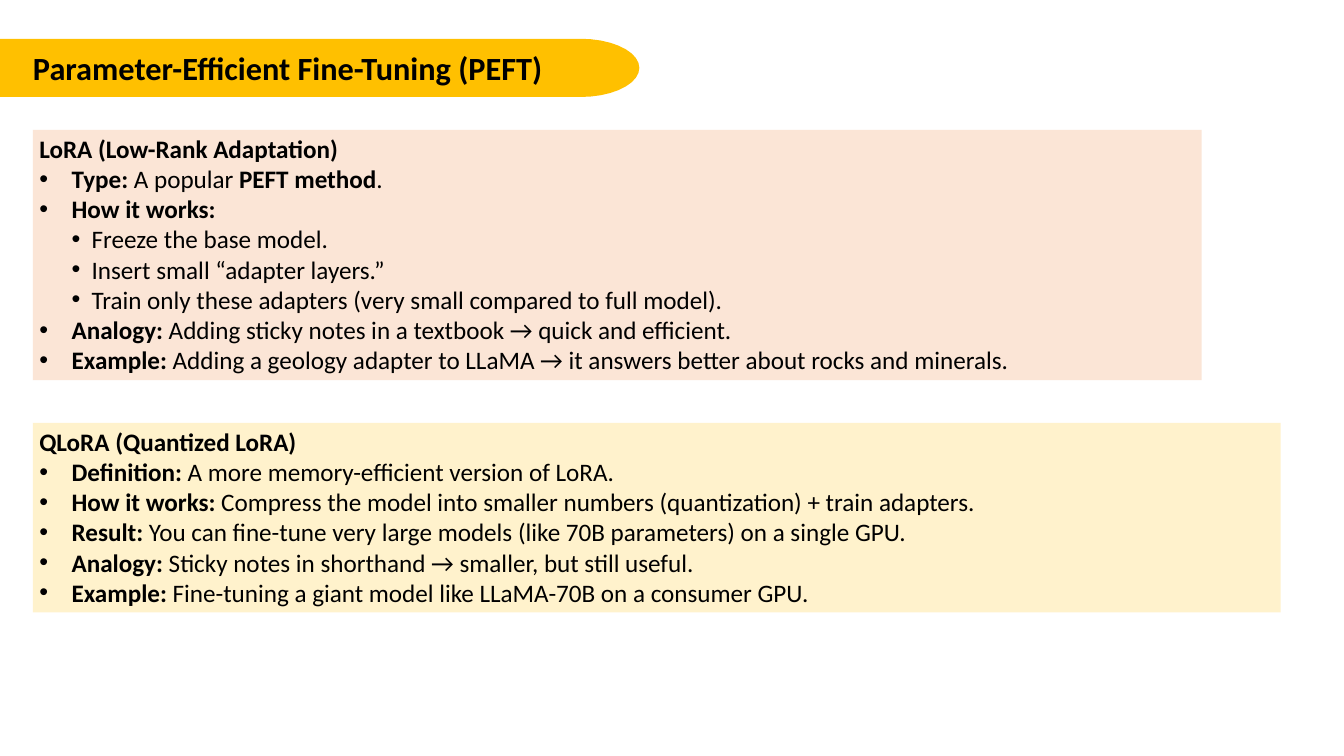
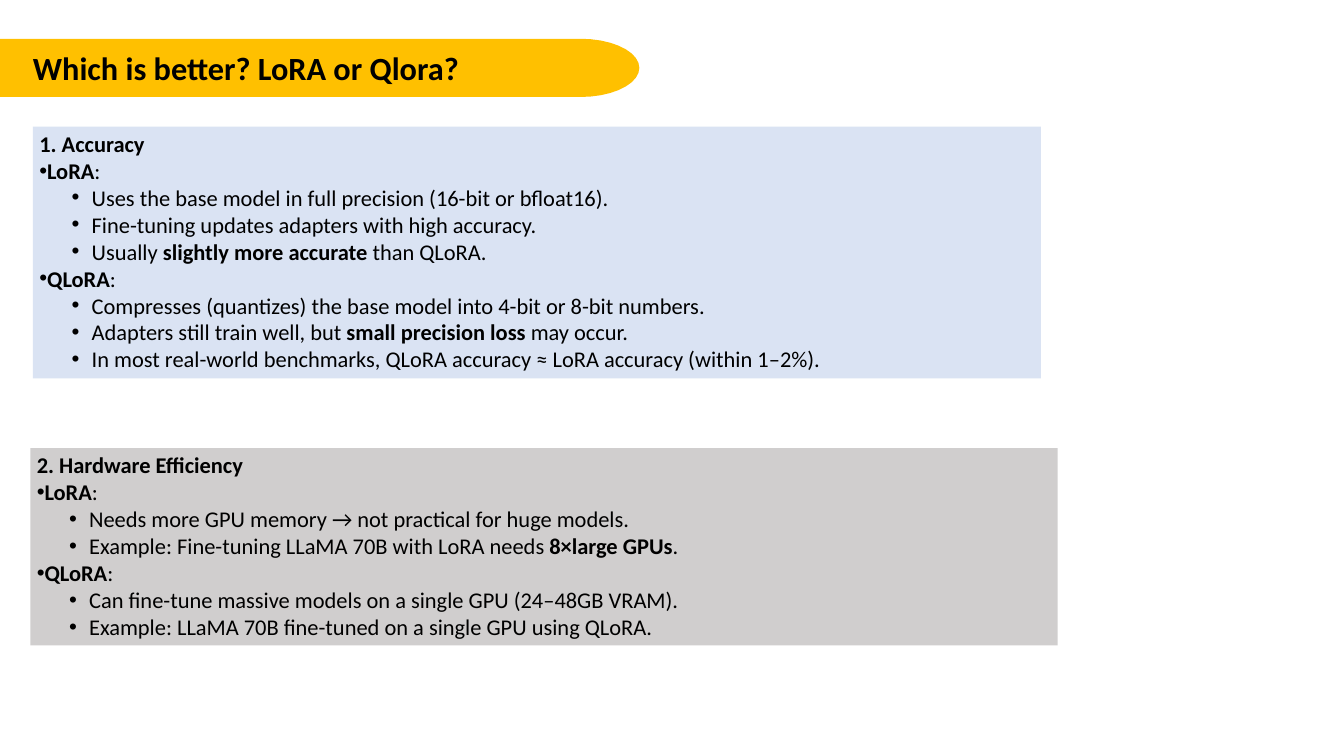
from dataclasses import dataclass
from math import cos, radians, sin

from lxml.etree import SubElement
from pptx import Presentation
from pptx.dml.color import RGBColor
from pptx.enum.shapes import MSO_SHAPE
from pptx.enum.text import MSO_ANCHOR, MSO_AUTO_SIZE, PP_ALIGN
from pptx.oxml.ns import qn
from pptx.util import Inches, Pt


@dataclass(frozen=True)
class Theme:
    """Colours, font and type sizes."""
    font: str = "Calibri"
    ink: str = "000000"
    band: str = "FFC000"
    peach: str = "FBE5D6"
    cream: str = "FFF2CC"
    blue: str = "DAE3F3"
    grey: str = "D0CECE"
    title: int = 36
    large: int = 28
    small: int = 25


class Deck:
    """Holds the theme and the current slide."""

    def __init__(self, theme):
        """Start a wide deck."""
        self.theme = theme
        self.prs = Presentation()
        self.prs.slide_width = Inches(20.79)
        self.prs.slide_height = Inches(11.69)

    def page(self, title):
        """Add a slide with its title on the band."""
        self.slide = self.prs.slides.add_slide(self.prs.slide_layouts[5])
        head = self.slide.shapes.title
        head.left, head.top = Inches(0.51), Inches(0.74)
        head.width, head.height = Inches(11.97), Inches(0.62)
        frame = self.frame(head, (0, 0.01, 0, 0))
        self.label(frame.paragraphs[0], f"*{title}*", self.theme.title)
        head.element.addprevious(self.band().element)

    def band(self):
        """Draw the title band with its rounded right end."""
        edge, mid, wide, high = 8.98, 1.05, 0.91, 0.45
        turns = [radians(a) for a in range(-90, 91, 10)]
        arc = [(edge + wide * cos(t), mid + high * sin(t)) for t in turns]
        points = [(Inches(x), Inches(y)) for x, y in [*arc, (0, mid + high)]]
        pen = self.slide.shapes.build_freeform(0, Inches(mid - high))
        pen.add_line_segments(points, close=True)
        return self.paint(pen.convert_to_shape(), self.theme.band)

    def paint(self, shape, fill):
        """Give a shape a flat fill without line or shadow."""
        shape.shadow.inherit = False
        shape.fill.solid()
        shape.fill.fore_color.rgb = RGBColor.from_string(fill)
        shape.line.fill.background()
        return shape

    def frame(self, shape, inset):
        """Set up the text frame of a shape."""
        frame = shape.text_frame
        frame.word_wrap = True
        frame.auto_size = MSO_AUTO_SIZE.NONE
        frame.vertical_anchor = MSO_ANCHOR.TOP
        (frame.margin_left, frame.margin_top,
         frame.margin_right, frame.margin_bottom) = map(Inches, inset)
        return frame

    def label(self, para, text, size):
        """Fill one paragraph, with bold between asterisks."""
        para.alignment = PP_ALIGN.LEFT
        para.line_spacing = 1.0
        for i, part in enumerate(text.split("*")):
            if part:
                run = para.add_run()
                run.text = part
                font = run.font
                font.name, font.size, font.bold = self.theme.font, Pt(size), i % 2 == 1
                font.color.rgb = RGBColor.from_string(self.theme.ink)

    def dot(self, para, left, hang):
        """Give a paragraph a bullet and a hanging indent."""
        props = para._p.get_or_add_pPr()
        props.set("marL", str(Inches(left)))
        props.set("indent", str(-Inches(hang)))
        SubElement(props, qn("a:buFont")).set("typeface", "Arial")
        SubElement(props, qn("a:buChar")).set("char", "•")

    def panel(self, box, fill, size, hang, head, items):
        """Add a filled panel with a heading and two-level bullets."""
        shape = self.slide.shapes.add_shape(MSO_SHAPE.RECTANGLE, *map(Inches, box))
        frame = self.frame(self.paint(shape, fill), (0.1, 0.05, 0.1, 0.05))
        self.label(frame.paragraphs[0], f"*{head}*", size)
        for level, text in items:
            para = frame.add_paragraph()
            para.level = level
            self.dot(para, *((0.81, 0.31) if level else (hang, hang)))
            self.label(para, text, size)


def main():
    """Build and save the deck."""
    theme = Theme()
    deck = Deck(theme)

    deck.page("Parameter-Efficient Fine-Tuning (PEFT)")
    deck.panel((0.51, 2.01, 18.08, 3.87), theme.peach, theme.large, 0.5,
               "LoRA (Low-Rank Adaptation)", [
        (0, "*Type:* A popular *PEFT method*."),
        (0, "*How it works:*"),
        (1, "Freeze the base model."),
        (1, "Insert small “adapter layers.”"),
        (1, "Train only these adapters (very small compared to full model)."),
        (0, "*Analogy:* Adding sticky notes in a textbook → quick and efficient."),
        (0, "*Example:* Adding a geology adapter to LLaMA → it answers better "
            "about rocks and minerals."),
    ])
    deck.panel((0.51, 6.54, 19.3, 2.93), theme.cream, theme.large, 0.5,
               "QLoRA (Quantized LoRA)", [
        (0, "*Definition:* A more memory-efficient version of LoRA."),
        (0, "*How it works:* Compress the model into smaller numbers "
            "(quantization) + train adapters."),
        (0, "*Result:* You can fine-tune very large models (like 70B parameters) "
            "on a single GPU."),
        (0, "*Analogy:* Sticky notes in shorthand → smaller, but still useful."),
        (0, "*Example:* Fine-tuning a giant model like LLaMA-70B on a consumer GPU."),
    ])

    deck.page("Which is better? LoRA or Qlora?")
    deck.panel((0.51, 1.96, 15.59, 3.89), theme.blue, theme.small, 0,
               "1. Accuracy", [
        (0, "*LoRA*:"),
        (1, "Uses the base model in full precision (16-bit or bfloat16)."),
        (1, "Fine-tuning updates adapters with high accuracy."),
        (1, "Usually *slightly more accurate* than QLoRA."),
        (0, "*QLoRA*:"),
        (1, "Compresses (quantizes) the base model into 4-bit or 8-bit numbers."),
        (1, "Adapters still train well, but *small precision loss* may occur."),
        (1, "In most real-world benchmarks, QLoRA accuracy ≈ LoRA accuracy "
            "(within 1–2%)."),
    ])
    deck.panel((0.47, 6.93, 15.89, 3.05), theme.grey, theme.small, 0,
               "2. Hardware Efficiency", [
        (0, "*LoRA*:"),
        (1, "Needs more GPU memory → not practical for huge models."),
        (1, "Example: Fine-tuning LLaMA 70B with LoRA needs *8×large GPUs*."),
        (0, "*QLoRA*:"),
        (1, "Can fine-tune massive models on a single GPU (24–48GB VRAM)."),
        (1, "Example: LLaMA 70B fine-tuned on a single GPU using QLoRA."),
    ])
    deck.prs.save("out.pptx")


if __name__ == "__main__":
    main()
